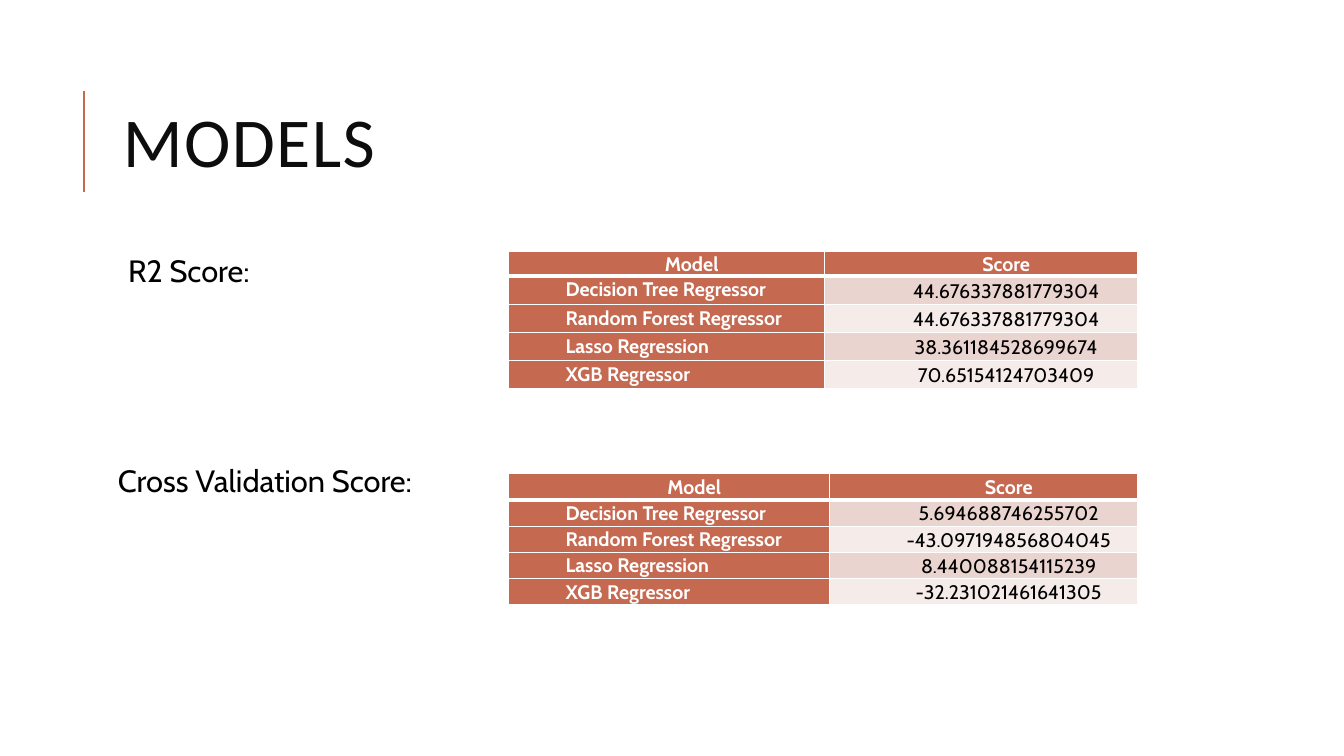
from lxml.etree import SubElement
from pptx import Presentation
from pptx.dml.color import RGBColor
from pptx.enum.shapes import MSO_CONNECTOR
from pptx.enum.text import MSO_ANCHOR, PP_ALIGN
from pptx.oxml.ns import qn
from pptx.util import Inches, Pt

RUST = RGBColor(0xC6, 0x69, 0x51)
ROSE = RGBColor(0xEA, 0xD4, 0xD0)
PALE = RGBColor(0xF5, 0xEB, 0xE9)
WHITE = RGBColor(0xFF, 0xFF, 0xFF)
BLACK = RGBColor(0, 0, 0)
INK = RGBColor(0x0D, 0x0D, 0x0D)


def write(frame, text, size, color, font="Cabin", bold=False):
    """Add one run to the first paragraph and return both."""
    para = frame.paragraphs[0]
    run = para.add_run()
    run.text = text
    run.font.name = font
    run.font.size = Pt(size)
    run.font.bold = bold
    run.font.color.rgb = color
    return para, run


def edge(cell, side, width):
    """Draw a white border on one side of a cell; call before its fill."""
    props = cell._tc.get_or_add_tcPr()
    line = SubElement(props, qn("a:ln" + side), w=str(Pt(width)))
    fill = SubElement(line, qn("a:solidFill"))
    SubElement(fill, qn("a:srgbClr"), val=str(WHITE))


prs = Presentation()
prs.slide_width = Inches(13.33)
prs.slide_height = Inches(7.5)
slide = prs.slides.add_slide(prs.slide_layouts[6])
shapes = slide.shapes

# Title with its accent rule
rule = shapes.add_connector(MSO_CONNECTOR.STRAIGHT, Inches(0.83), Inches(1.9),
                            Inches(0.83), Inches(0.9))
rule.line.color.rgb = RUST
rule.line.width = Pt(1.5)
SubElement(rule._element.spPr, qn("a:effectLst"))

title = shapes.add_textbox(Inches(1.12), Inches(0.64), Inches(10.63), Inches(1.64))
title.text_frame.word_wrap = True
title.text_frame.vertical_anchor = MSO_ANCHOR.MIDDLE
para, run = write(title.text_frame, "MODELS", 50, INK, "Calibri")
para.line_spacing = 0.8
run.font._element.set("spc", "100")

# Label, its left and top, table top, column widths, row heights, scores
MODELS = ["Decision Tree Regressor", "Random Forest Regressor",
          "Lasso Regression", "XGB Regressor"]
BLOCKS = [
    ("R2 Score:", 1.22, 2.45, 2.49, (3.14, 3.1), (0.24, 0.28),
     ["44.676337881779304", "44.676337881779304",
      "38.361184528699674", "70.65154124703409"]),
    ("Cross Validation Score:", 1.12, 4.54, 4.7, (3.19, 3.05), (0.26, 0.26),
     ["5.694688746255702", "-43.097194856804045",
      "8.440088154115239", "-32.231021461641305"]),
]

for label, left, high, top, widths, heights, scores in BLOCKS:
    box = shapes.add_textbox(Inches(left), Inches(high), Inches(3.7), Inches(0.5))
    frame = box.text_frame
    frame.word_wrap = True
    frame.vertical_anchor = MSO_ANCHOR.MIDDLE
    frame.margin_left = frame.margin_right = Inches(0.05)
    frame.margin_top = frame.margin_bottom = Inches(0.05)
    para, run = write(frame, label, 22, BLACK)
    para.line_spacing = 0.9

    rows = [("Model", "Score"), *zip(MODELS, scores)]
    tall = heights[0] + heights[1] * len(MODELS)
    table = shapes.add_table(len(rows), 2, Inches(5.04), Inches(top),
                             Inches(sum(widths)), Inches(tall)).table
    for col, width in enumerate(widths):
        table.columns[col].width = Inches(width)
    for r, texts in enumerate(rows):
        head = r == 0
        table.rows[r].height = Inches(heights[0 if head else 1])
        for c, text in enumerate(texts):
            cell = table.cell(r, c)
            value = c == 1 and not head
            cell.margin_left = cell.margin_right = Inches(0.07)
            cell.margin_top = cell.margin_bottom = 0
            cell.vertical_anchor = MSO_ANCHOR.MIDDLE if value else MSO_ANCHOR.TOP
            for side in "LRTB":
                thick = (head and side == "B") or (r == 1 and side == "T")
                edge(cell, side, 3 if thick else 1)
            cell.fill.solid()
            cell.fill.fore_color.rgb = (ROSE if r % 2 else PALE) if value else RUST
            para, run = write(cell.text_frame, text, 14,
                              BLACK if value else WHITE, bold=not value)
            para.alignment = PP_ALIGN.CENTER if head or value else PP_ALIGN.LEFT
            para.line_spacing = 1.07
            para.space_after = Pt(8 if c else 0)
            props = para._p.get_or_add_pPr()
            props.set("marL", str(Inches(0.5)))
            props.set("indent", "0")

prs.save("out.pptx")
